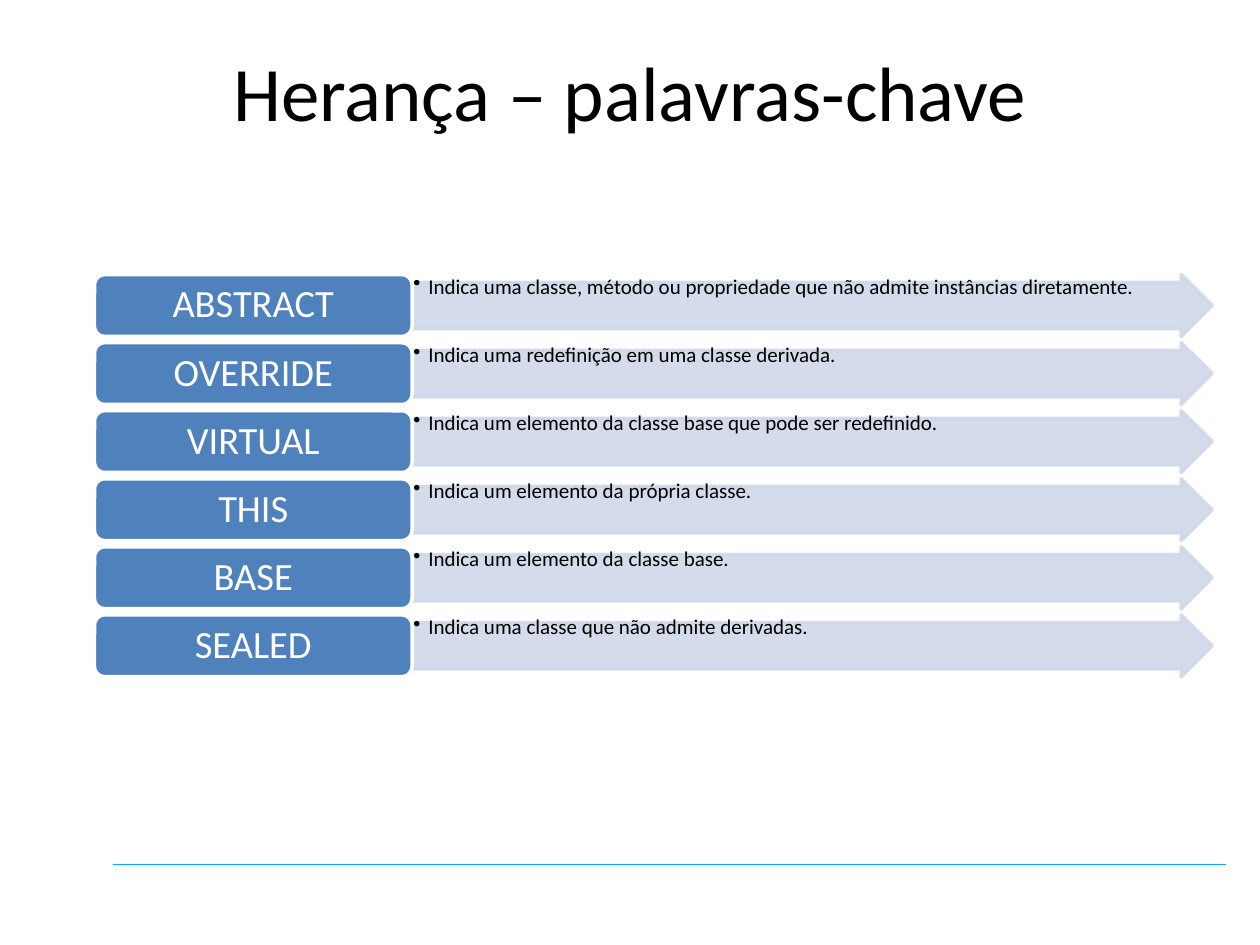
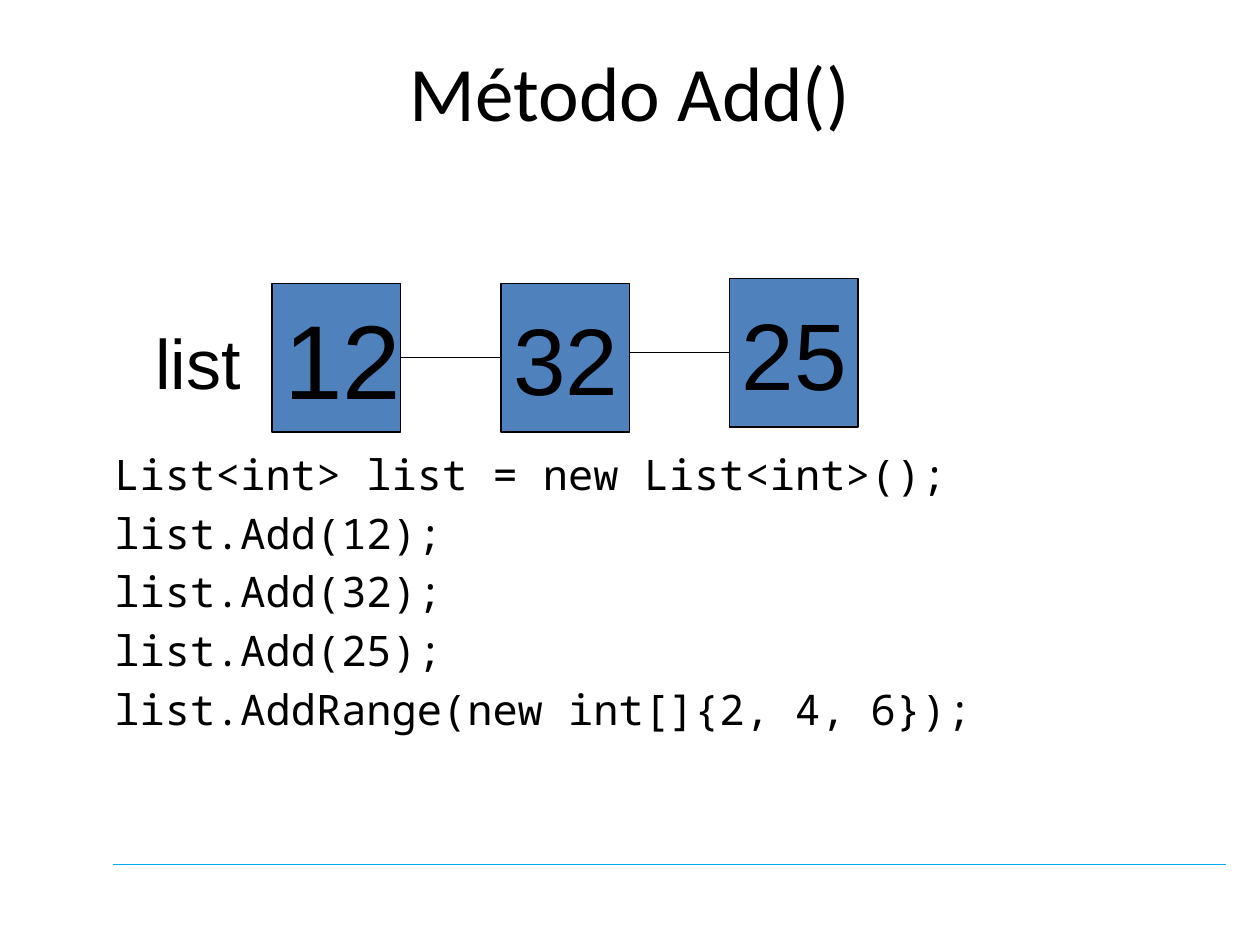
from lxml import etree
from pptx import Presentation
from pptx.dml.color import RGBColor
from pptx.enum.shapes import MSO_CONNECTOR as CONNECTOR, MSO_SHAPE as SHAPE
from pptx.enum.text import MSO_ANCHOR as ANCHOR, PP_ALIGN as ALIGN
from pptx.oxml.ns import qn
from pptx.util import Inches, Pt

BLACK, WHITE = "000000", "FFFFFF"
BLUE, PALE_BLUE, CYAN = "4F81BD", "D0D8E8", "00AEEF"
TITLE_FONT, LIST_FONT, CODE_FONT = "Calibri", "Arial", "Noto Sans Mono"


def style_text(paragraph, font_name, size, color, align=ALIGN.LEFT):
    paragraph.alignment = align
    for run in paragraph.runs:
        run.font.name = font_name
        run.font.size = Pt(size)
        run.font.color.rgb = RGBColor.from_string(color)


def paint(shape, line_color, line_width, fill_color=None):
    shape.line.color.rgb = RGBColor.from_string(line_color)
    shape.line.width = Pt(line_width)
    if fill_color:
        shape.shadow.inherit = False
        shape.fill.solid()
        shape.fill.fore_color.rgb = RGBColor.from_string(fill_color)
    else:
        etree.SubElement(shape.element.spPr, qn("a:effectLst"))


presentation = Presentation()
presentation.slide_width = Inches(10)
presentation.slide_height = Inches(7.5)
title_layout = presentation.slide_layouts[5]

slides = []
for title_text in ["Herança – palavras-chave", "Método Add()"]:
    slide = presentation.slides.add_slide(title_layout)
    title = slide.shapes.title
    title.left, title.top = Inches(0.5), Inches(0.3)
    title.width, title.height = Inches(9), Inches(1.25)
    title.text_frame.text = title_text
    title.text_frame.vertical_anchor = ANCHOR.TOP
    style_text(title.text_frame.paragraphs[0], TITLE_FONT, 44, BLACK, ALIGN.CENTER)
    slides.append(slide)
keyword_slide, add_slide = slides

footer_line = keyword_slide.shapes.add_connector(
    CONNECTOR.STRAIGHT, Inches(0.9), Inches(6.86), Inches(9.73), Inches(6.86))
paint(footer_line, CYAN, 0.75)
footer_line.element.nvCxnSpPr.cNvPr.set("id", "99")
title_layout.shapes.element.append(footer_line.element)

keywords = [
    ("ABSTRACT", "Indica uma classe, método ou propriedade que não admite instâncias diretamente."),
    ("OVERRIDE", "Indica uma redefinição em uma classe derivada."),
    ("VIRTUAL", "Indica um elemento da classe base que pode ser redefinido."),
    ("THIS", "Indica um elemento da própria classe."),
    ("BASE", "Indica um elemento da classe base."),
    ("SEALED", "Indica uma classe que não admite derivadas."),
]
keyword_left, keyword_width = Inches(0.75), Inches(2.52)
meaning_left, meaning_width = keyword_left + keyword_width, Inches(6.35)
first_row, row_pitch, row_height = Inches(2.18), Inches(0.54), Inches(0.49)

for row, (keyword, meaning) in enumerate(keywords):
    row_top = first_row + row * row_pitch

    arrow = keyword_slide.shapes.add_shape(
        SHAPE.RIGHT_ARROW, meaning_left, row_top, meaning_width, row_height)
    arrow.adjustments[0], arrow.adjustments[1] = 0.75, 0.5
    paint(arrow, PALE_BLUE, 2, PALE_BLUE)
    for color in arrow.element.spPr.iter(qn("a:srgbClr")):
        etree.SubElement(color, qn("a:alpha"), val="90000")

    meaning_box = keyword_slide.shapes.add_textbox(
        meaning_left, row_top, meaning_width, row_height)
    frame = meaning_box.text_frame
    frame.word_wrap = True
    frame.margin_left = frame.margin_right = Inches(0.01)
    frame.margin_top = frame.margin_bottom = Inches(0.01)
    frame.text = meaning
    paragraph = frame.paragraphs[0]
    properties = paragraph._p.get_or_add_pPr()
    properties.set("marL", str(Inches(0.12)))
    properties.set("indent", str(-Inches(0.12)))
    etree.SubElement(properties, qn("a:buChar"), char="•")
    paragraph.line_spacing = 0.9
    style_text(paragraph, TITLE_FONT, 12, BLACK)

    keyword_box = keyword_slide.shapes.add_shape(
        SHAPE.ROUNDED_RECTANGLE, keyword_left, row_top, keyword_width, row_height)
    paint(keyword_box, WHITE, 2, BLUE)
    frame = keyword_box.text_frame
    frame.vertical_anchor = ANCHOR.MIDDLE
    frame.text = keyword
    frame.paragraphs[0].line_spacing = 0.9
    style_text(frame.paragraphs[0], TITLE_FONT, 22, WHITE, ALIGN.CENTER)

list_label = add_slide.shapes.add_textbox(
    Inches(0.51), Inches(2.49), Inches(1.5), Inches(0.77))
list_label.text_frame.word_wrap = True
list_label.text_frame.text = "list"
style_text(list_label.text_frame.paragraphs[0], LIST_FONT, 40, BLACK, ALIGN.RIGHT)

node_left, node_pitch = Inches(2.16), Inches(1.815)
node_width, node_height = Inches(1.02), Inches(1.18)
previous_node = None
for column, (value, size, top) in enumerate([("12", 60, 2.25), ("32", 54, 2.25), ("25", 54, 2.21)]):
    node = add_slide.shapes.add_shape(
        SHAPE.RECTANGLE, node_left + column * node_pitch, Inches(top), node_width, node_height)
    paint(node, BLACK, 0.75, BLUE)
    node.text_frame.word_wrap = False
    node.text_frame.vertical_anchor = ANCHOR.MIDDLE
    node.text_frame.text = value
    style_text(node.text_frame.paragraphs[0], LIST_FONT, size, BLACK)

    if previous_node:
        middle = node.top + node_height // 2
        link = add_slide.shapes.add_connector(
            CONNECTOR.STRAIGHT, previous_node.left + node_width, middle, node.left, middle)
        if previous_node.top == node.top:
            link.begin_connect(previous_node, 3)
        link.end_connect(node, 1)
        paint(link, BLACK, 0.75)
    previous_node = node

code_lines = [
    "List<int> list = new List<int>();",
    "list.Add(12);",
    "list.Add(32);",
    "list.Add(25);",
    "list.AddRange(new int[]{2, 4, 6});",
]
code_box = add_slide.shapes.add_textbox(Inches(0.81), Inches(3.51), Inches(9), Inches(2.8))
code_box.text_frame.word_wrap = True
code_box.text_frame.text = "\n".join(code_lines)
for index, paragraph in enumerate(code_box.text_frame.paragraphs):
    properties = paragraph._p.get_or_add_pPr()
    properties.set("marL", str(Inches(0.38)))
    properties.set("indent", str(-Inches(0.38)))
    if index > 0:
        space_before = etree.SubElement(properties, qn("a:spcBef"))
        etree.SubElement(space_before, qn("a:spcPct"), val="20000")
    style_text(paragraph, CODE_FONT, 24, BLACK)

presentation.save("out.pptx")
